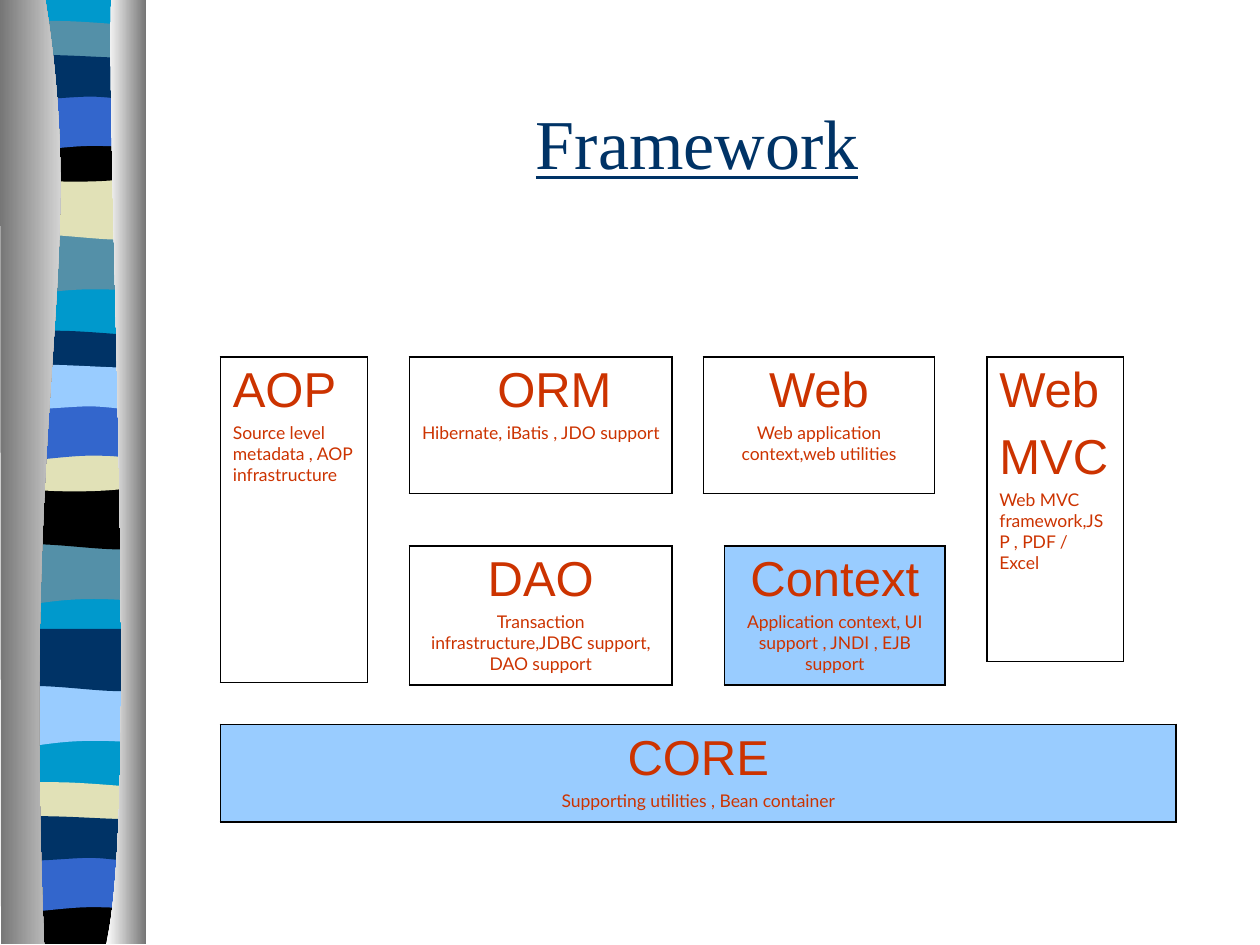
from lxml import etree
from pptx import Presentation
from pptx.dml.color import RGBColor
from pptx.enum.text import MSO_ANCHOR, PP_ALIGN
from pptx.oxml.ns import qn
from pptx.util import Cm, Pt

CENTER, LEFT = PP_ALIGN.CENTER, PP_ALIGN.LEFT
MIDDLE = MSO_ANCHOR.MIDDLE
EMU_PER_PX = 7620
BLANK_LAYOUT = 6

COLORS = {
    "cyan": "0099CC", "teal": "5490A8", "beige": "E1E1B7", "black": "000000",
    "blue": "3366CC", "navy": "003366", "sky": "99CCFF", "gray": "767676",
    "white": "FFFFFF", "rust": "CC3300",
}

TITLE_FONT = {"name": "Times New Roman", "size": Pt(40), "underline": True}
HEADING_FONT = {"name": "Arial", "size": Pt(28)}
DETAIL_FONT = {"name": "Lato", "size": Pt(10)}
CELL_MARGINS = {"margin_left": Cm(0.25), "margin_right": Cm(0.25),
                "margin_top": Cm(0.13), "margin_bottom": Cm(0.13)}

BAND_OUTLINES = {
    "sag": [(130, 0), (130, 56), (40, 47, 22, 66, 0, 56), (0, 0)],
    "block": [(130, 0), (130, 56), (108, 66, 40, 49, 0, 56), (0, 0)],
    "thin": [(130, 6), (130, 35), (108, 40, 22, 40, 0, 35), (0, 6),
             (7, 0, 28, 1, 49, 1), (71, 1, 113, 5, 130, 6)],
    "bowl": [(130, 0), (130, 38), (108, 46, 22, 46, 0, 38), (0, 0),
             (79, 6, 102, 0, 130, 0)],
    "foot": [(130, 0), (130, 45), (0, 45), (0, 0), (79, 6, 102, 0, 130, 0)],
    "arch": [(130, 0), (130, 56), (109, 50, 101, 50, 79, 50),
             (58, 50, 19, 56, 0, 56), (0, 0)],
    "tall": [(130, 6), (130, 43), (121, 49, 101, 43, 79, 43),
             (58, 43, 13, 49, 0, 43), (0, 6), (18, 0, 88, 6, 109, 6),
             (131, 6, 126, 6, 130, 6)],
}
BAND_OFFSETS = {"sag": 203, "block": 150, "thin": 0, "bowl": 110,
                "foot": 110, "arch": 70, "tall": 30}
BAND_GROUPS = [
    (7, 19, {"sag": "teal", "block": "beige", "thin": "teal",
             "bowl": "black", "arch": "blue", "tall": "navy"}),
    (6, 314, {"sag": "teal", "block": "black", "thin": "navy",
              "bowl": "beige", "arch": "blue", "tall": "sky"}),
    (7, 449, {"sag": "sky", "block": "navy"}),
    (6, 744, {"thin": "beige", "foot": "black", "arch": "blue", "tall": "navy"}),
]
RIBBON_BASE = [(130, 0), (130, 897), (0, 897), (0, 0)]
LEFT_CURTAIN = [(43, 0), (85, 260, 20, 356, 42, 900), (1, 900), (0, 0)]
RIGHT_CURTAIN = [(106, 0), (101, 151, 133, 776, 101, 900), (139, 900), (139, 1)]

MODULES = [
    ((210, 690, 910, 92), ["CORE"], "Supporting utilities , Bean container", CENTER, "sky", 0),
    ((210, 340, 140, 310), ["AOP"], "Source level metadata , AOP infrastructure", LEFT, None, 0),
    ((390, 340, 250, 130), ["ORM"], "Hibernate, iBatis , JDO support", CENTER, None, 26),
    ((390, 520, 250, 132), ["DAO"],
     "Transaction infrastructure,JDBC support, DAO support", CENTER, None, 0),
    ((670, 340, 220, 130), ["Web"], "Web application context,web utilities", CENTER, None, 0),
    ((690, 520, 210, 132), ["Context"],
     "Application context, UI support , JNDI , EJB support", CENTER, "sky", 0),
    ((940, 340, 130, 290), ["Web", "MVC"],
     "Web MVC framework,JSP , PDF / Excel", LEFT, None, 0),
]


def px(length):
    return round(length * EMU_PER_PX)


def rgb(color):
    return RGBColor.from_string(COLORS[color])


def set_values(target, values):
    for name, value in values.items():
        setattr(target, name, value)


def bend_curves(shape, segments):
    lines = iter(list(shape._element.iter(qn("a:lnTo"))))
    for segment in segments:
        line = next(lines)
        if len(segment) == 6:
            curve = etree.Element(qn("a:cubicBezTo"))
            line.addprevious(curve)
            for corner in (line, next(lines), next(lines)):
                curve.append(corner[0])
                corner.getparent().remove(corner)


def add_outline(slide, left, top, outline, colors):
    points = [(px(left + segment[i]), px(top + segment[i + 1]))
              for segment in outline for i in range(0, len(segment), 2)]
    builder = slide.shapes.build_freeform(*points[0], scale=1.0)
    builder.add_line_segments(points[1:], close=True)
    shape = builder.convert_to_shape()
    bend_curves(shape, outline[1:])
    shape.shadow.inherit = False
    shape.line.fill.background()
    if len(colors) == 1:
        shape.fill.solid()
        shape.fill.fore_color.rgb = rgb(colors[0])
    else:
        shape.fill.gradient()
        shape.fill.gradient_angle = 0
        for stop, color in zip(shape.fill.gradient_stops, colors):
            stop.color.rgb = rgb(color)


def add_ribbon(slide, left, top):
    add_outline(slide, left + 7, top - 1, RIBBON_BASE, ["cyan"])
    for group_left, group_top, bands in BAND_GROUPS:
        for band, color in bands.items():
            add_outline(slide, left + group_left, top + group_top + BAND_OFFSETS[band],
                        BAND_OUTLINES[band], [color])
    add_outline(slide, left, top - 1, LEFT_CURTAIN, ["gray", "white"])
    add_outline(slide, left, top - 1, RIGHT_CURTAIN, ["white", "gray"])


def write_paragraph(paragraph, text, alignment, font, color):
    paragraph.alignment = alignment
    run = paragraph.add_run()
    run.text = text
    set_values(run.font, font)
    run.font.color.rgb = rgb(color)


def add_title(slide, box, text):
    frame = slide.shapes.add_textbox(*map(px, box)).text_frame
    set_values(frame, {"word_wrap": True, "vertical_anchor": MIDDLE})
    write_paragraph(frame.paragraphs[0], text, CENTER, TITLE_FONT, "navy")


def add_borders(cell):
    properties = cell._tc.get_or_add_tcPr()
    for index, side in enumerate(("a:lnL", "a:lnR", "a:lnT", "a:lnB")):
        line = etree.Element(qn(side), w=str(Pt(1.08)))
        fill = etree.SubElement(line, qn("a:solidFill"))
        etree.SubElement(fill, qn("a:srgbClr"), val=COLORS["black"])
        properties.insert(index, line)


def add_module(slide, box, headings, detail, alignment, fill, heading_indent):
    table = slide.shapes.add_table(1, 1, *map(px, box)).table
    set_values(table, {"first_row": False, "horz_banding": False})
    cell = table.cell(0, 0)
    set_values(cell, CELL_MARGINS)
    if fill:
        cell.fill.solid()
        cell.fill.fore_color.rgb = rgb(fill)
    else:
        cell.fill.background()
    add_borders(cell)
    frame = cell.text_frame
    for index, heading in enumerate(headings):
        paragraph = frame.add_paragraph() if index else frame.paragraphs[0]
        if index:
            paragraph.space_before = Pt(7)
        write_paragraph(paragraph, heading, alignment, HEADING_FONT, "rust")
        if heading_indent:
            paragraph._p.get_or_add_pPr().set("marL", str(px(heading_indent)))
    paragraph = frame.add_paragraph()
    paragraph.space_before = Pt(2.5)
    write_paragraph(paragraph, detail, alignment, DETAIL_FONT, "rust")


def main():
    presentation = Presentation()
    set_values(presentation, {"slide_width": px(1200), "slide_height": px(900)})
    slide = presentation.slides.add_slide(presentation.slide_layouts[BLANK_LAYOUT])
    add_ribbon(slide, 0, 0)
    add_title(slide, (154, 60, 1020, 150), "Framework")
    for module in MODULES:
        add_module(slide, *module)
    presentation.save("out.pptx")


if __name__ == "__main__":
    main()
